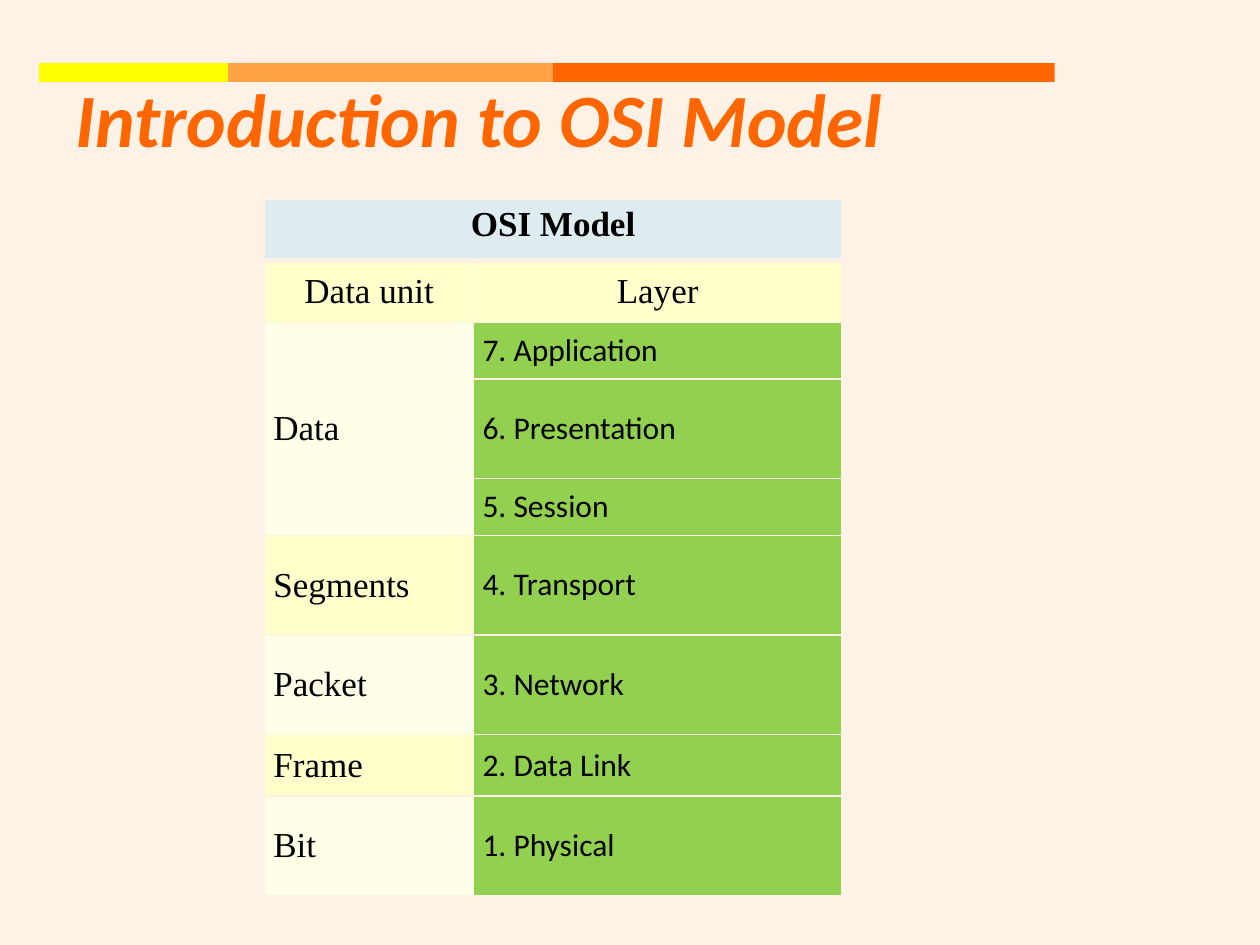
from lxml import etree
from pptx import Presentation
from pptx.dml.color import RGBColor
from pptx.enum.shapes import MSO_SHAPE
from pptx.enum.text import MSO_ANCHOR, PP_ALIGN
from pptx.oxml.ns import qn
from pptx.util import Inches, Pt

COLORS = {
    "background": "FEF2E6", "yellow": "FFFF00", "light_orange": "FFA347",
    "orange": "FF6600", "black": "000000", "header": "DEECEF",
    "band_dark": "FFFFCC", "band_light": "FFFFE7", "layer": "92D050",
}
SERIF, SANS = "Times New Roman", "Calibri"

TITLE = "Introduction to OSI Model"
BAR = [("yellow", 1.5), ("light_orange", 2.58), ("orange", 3.98)]
TABLE_TITLE = "OSI Model"
HEADINGS = ("Data unit", "Layer")
# Data unit, then its layers with their row heights
UNITS = [
    ("Data", [("7. Application", 0.45), ("6. Presentation", 0.79), ("5. Session", 0.45)]),
    ("Segments", [("4. Transport", 0.79)]),
    ("Packet", [("3. Network", 0.79)]),
    ("Frame", [("2. Data Link", 0.49)]),
    ("Bit", [("1. Physical", 0.79)]),
]
COL_WIDTHS = (1.66, 2.92)
HEAD_HEIGHT = 0.49


def rgb(name):
    return RGBColor.from_string(COLORS[name])


def style_run(r, font, size, color, bold=False, italic=False):
    r.font.name, r.font.size = font, Pt(size)
    r.font.bold, r.font.italic = bold, italic
    r.font.color.rgb = rgb(color)


def set_borders(cell, top=1, bottom=1):
    tc_pr = cell._tc.get_or_add_tcPr()
    widths = {"lnL": 1, "lnR": 1, "lnT": top, "lnB": bottom}
    for i, (side, width) in enumerate(widths.items()):
        ln = etree.Element(qn("a:" + side), w=str(Pt(width)))
        fill = etree.SubElement(ln, qn("a:solidFill"))
        etree.SubElement(fill, qn("a:srgbClr"), val=COLORS["background"])
        tc_pr.insert(i, ln)


def fill_cell(cell, text, fill, font=SERIF, size=20, bold=False,
              align=PP_ALIGN.LEFT, anchor=MSO_ANCHOR.MIDDLE):
    cell.fill.solid()
    cell.fill.fore_color.rgb = rgb(fill)
    cell.margin_left = cell.margin_right = Inches(0.07)
    cell.margin_top = cell.margin_bottom = Inches(0.05)
    cell.vertical_anchor = anchor
    p = cell.text_frame.paragraphs[0]
    p.text, p.alignment = text, align
    style_run(p.runs[0], font, size, "black", bold)


prs = Presentation()
prs.slide_width, prs.slide_height = Inches(10), Inches(7.5)
s = prs.slides.add_slide(prs.slide_layouts[5])
s.background.fill.solid()
s.background.fill.fore_color.rgb = rgb("background")

# Colour bar
left = 0.31
for color, width in BAR:
    sp = s.shapes.add_shape(MSO_SHAPE.RECTANGLE, Inches(left), Inches(0.5),
                            Inches(width), Inches(0.15))
    sp.shadow.inherit = False
    sp.fill.solid()
    sp.fill.fore_color.rgb = rgb(color)
    sp.line.fill.background()
    left += width

# Title
title = s.shapes.title
title.left, title.top = Inches(0.5), Inches(0.59)
title.width, title.height = Inches(8.64), Inches(0.77)
tf = title.text_frame
tf.text = TITLE
tf.vertical_anchor = MSO_ANCHOR.MIDDLE
p = tf.paragraphs[0]
p.alignment, p.line_spacing = PP_ALIGN.LEFT, 0.9
style_run(p.runs[0], SANS, 43, "orange", bold=True, italic=True)

# Table grid
layers = [layer for _, group in UNITS for layer in group]
heights = [HEAD_HEIGHT] * 2 + [height for _, height in layers]
table = s.shapes.add_table(len(heights), len(COL_WIDTHS), Inches(2.1), Inches(1.58),
                           Inches(sum(COL_WIDTHS)), Inches(sum(heights))).table
for col, width in zip(table.columns, COL_WIDTHS):
    col.width = Inches(width)
for row, height in zip(table.rows, heights):
    row.height = Inches(height)

# Heading rows
table.cell(0, 0).merge(table.cell(0, 1))
fill_cell(table.cell(0, 0), TABLE_TITLE, "header", bold=True,
          align=PP_ALIGN.CENTER, anchor=MSO_ANCHOR.TOP)
for c, heading in enumerate(HEADINGS):
    fill_cell(table.cell(1, c), heading, "band_dark", align=PP_ALIGN.CENTER)

# Data units and their layers
top = 2
for i, (unit, group) in enumerate(UNITS):
    if len(group) > 1:
        table.cell(top, 0).merge(table.cell(top + len(group) - 1, 0))
    fill_cell(table.cell(top, 0), unit, "band_dark" if i % 2 else "band_light")
    for r, (layer, _) in enumerate(group, top):
        fill_cell(table.cell(r, 1), layer, "layer", SANS, 18)
    top += len(group)

# Borders, thicker below the table title
for r in range(len(heights)):
    for c in range(len(COL_WIDTHS)):
        set_borders(table.cell(r, c), top=3 if r == 1 else 1, bottom=3 if r == 0 else 1)

prs.save("out.pptx")
